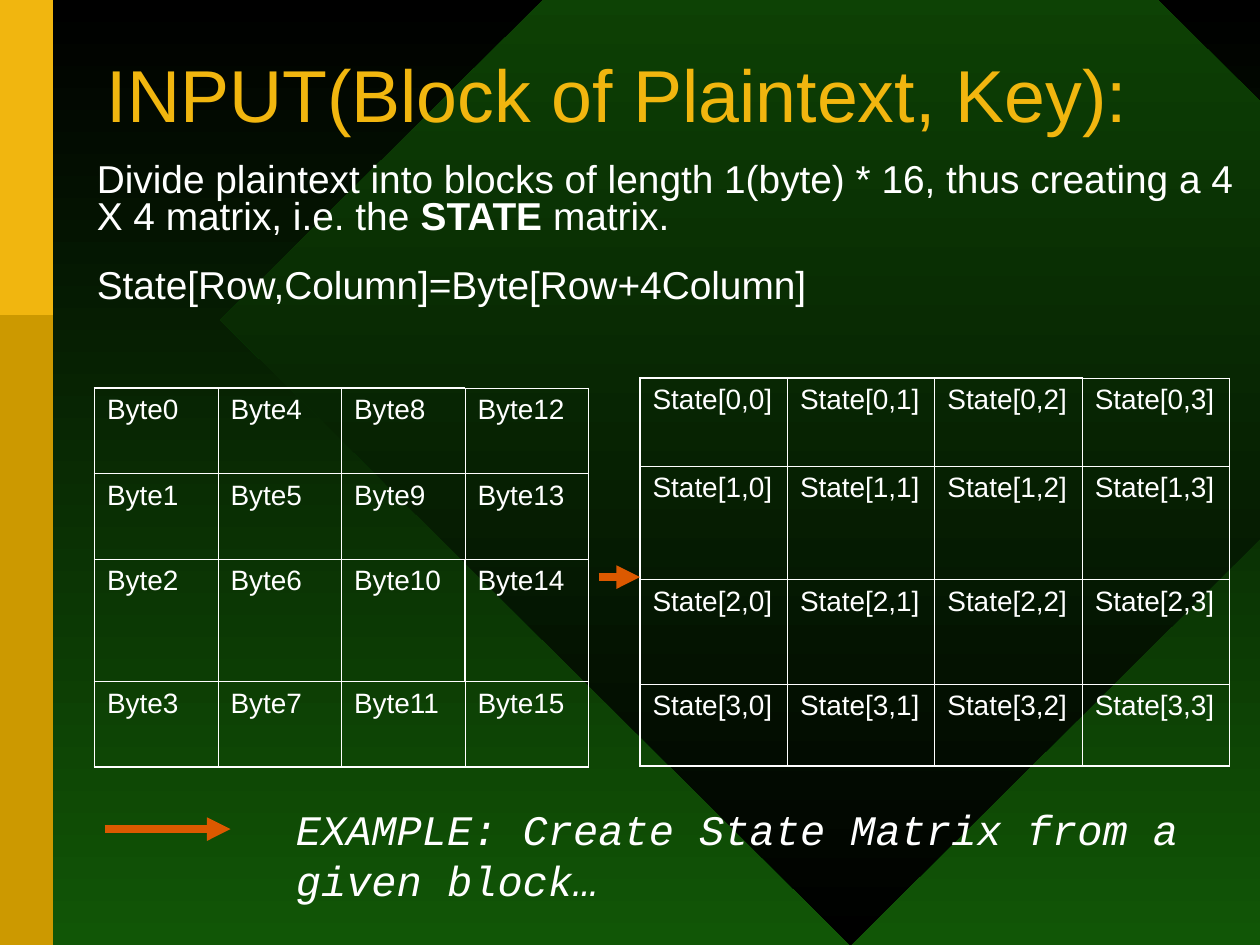
import pptx
import pptx.util
import pptx.dml.color
import pptx.enum.shapes
import pptx.enum.text
import pptx.oxml
import lxml.etree

Inches = pptx.util.Inches
Pt = pptx.util.Pt
RGB = pptx.dml.color.RGBColor.from_string
SHAPES = pptx.enum.shapes.MSO_SHAPE
COLORS = {"black": "000000", "green": "115606", "gold": "F1B60F",
          "dark_gold": "CC9900", "white": "FFFFFF", "orange": "DC5900"}
DRAWING = "http://schemas.openxmlformats.org/drawingml/2006/main"

deck = pptx.Presentation()
deck.slide_width, deck.slide_height = Inches(10), Inches(7.5)
page = deck.slides.add_slide(deck.slide_layouts[6])


def set_gradient(fill, top, bottom):
    """Fill from top to bottom with two colours."""
    fill.gradient()
    fill.gradient_angle = 270
    for stop, position, name in zip(fill.gradient_stops, (0, 1), (top, bottom)):
        stop.position = position
        stop.color.rgb = RGB(COLORS[name])


def add_text(place, paragraphs, font, size, color="white", italic=False,
             line_spacing=1.0, space_before=0, anchor="TOP"):
    """Add a text box; each paragraph is a list of (text, bold) spans."""
    box = page.shapes.add_textbox(*map(Inches, place))
    frame = box.text_frame
    frame.word_wrap = True
    frame.vertical_anchor = getattr(pptx.enum.text.MSO_ANCHOR, anchor)
    for index, spans in enumerate(paragraphs):
        paragraph = frame.add_paragraph() if index else frame.paragraphs[0]
        paragraph.line_spacing = line_spacing
        if index:
            paragraph.space_before = Pt(space_before)
        paragraph.font.name, paragraph.font.size = font, Pt(size)
        paragraph.font.italic = italic
        paragraph.font.color.rgb = RGB(COLORS[color])
        for text, bold in spans:
            span = paragraph.add_run()
            span.text = text
            if bold:
                span.font.bold = True


# Background with the large diamond and the gold side bar
set_gradient(page.background.fill, "black", "green")
for kind, place, color in [
        (SHAPES.DIAMOND, (1.75, -2.42, 10, 9.92), None),
        (SHAPES.RECTANGLE, (0, 0, 0.42, 7.5), "dark_gold"),
        (SHAPES.RECTANGLE, (0, 0, 0.42, 2.5), "gold")]:
    shape = page.shapes.add_shape(kind, *map(Inches, place))
    shape.shadow.inherit = False
    shape.line.fill.background()
    if color:
        shape.fill.solid()
        shape.fill.fore_color.rgb = RGB(COLORS[color])
    else:
        set_gradient(shape.fill, "green", "black")

# Title and explanation
add_text((0.75, 0.25, 8.75, 1.08), [[("INPUT(Block of Plaintext, Key):", False)]],
         "Arial", 42, color="gold", line_spacing=0.85, anchor="MIDDLE")
add_text((0.67, 1.25, 9.33, 1.67),
         [[("Divide plaintext into blocks of length 1(byte) * 16, "
            "thus creating a 4 X 4 matrix, i.e. the ", False),
           ("STATE", True), (" matrix.", False)],
          [("State[Row,Column]=Byte[Row+4Column]", False)]],
         "Arial", 22.2, line_spacing=0.8, space_before=18)

# Byte matrix and state matrix: thick outer edges, thin inner ones
byte_names = [[f"Byte{row + 4 * column}" for column in range(4)] for row in range(4)]
state_names = [[f"State[{row},{column}]" for column in range(4)] for row in range(4)]
byte_extra = {(1, 3, "B"), (2, 2, "R"), (2, 3, "L"), (2, 3, "T"),
              (2, 3, "B"), (3, 3, "T")}
for names, left, top, column_width, row_heights, extra in [
        (byte_names, 0.75, 3.08, 0.98, (0.68, 0.68, 0.97, 0.68), byte_extra),
        (state_names, 5.08, 3, 1.17, (0.7, 0.9, 0.83, 0.65), set())]:
    table = page.shapes.add_table(
        4, 4, Inches(left), Inches(top),
        Inches(4 * column_width), Inches(sum(row_heights))).table
    table.first_row = table.horz_banding = False
    for column in table.columns:
        column.width = Inches(column_width)
    for row, height in enumerate(row_heights):
        table.rows[row].height = Inches(height)
        for column in range(4):
            cell = table.cell(row, column)
            cell.text = names[row][column]
            font = cell.text_frame.paragraphs[0].font
            font.name, font.size = "Arial", Pt(16)
            font.color.rgb = RGB(COLORS["white"])
            outer = {"L": column == 0, "R": column == 3,
                     "T": row == 0 and column < 3, "B": row == 3}
            properties = cell._tc.get_or_add_tcPr()
            for side, thick in outer.items():
                width = Pt(1.08 if thick or (row, column, side) in extra else 0.45)
                properties.append(pptx.oxml.parse_xml(
                    f'<a:ln{side} xmlns:a="{DRAWING}" w="{width}"><a:solidFill>'
                    f'<a:srgbClr val="{COLORS["white"]}"/></a:solidFill></a:ln{side}>'))
            cell.fill.background()

# Example caption
add_text((2.25, 6.33, 7.33, 0.9),
         [[("EXAMPLE: Create State Matrix from a given block…", False)]],
         "Courier New", 24, italic=True)

# Arrows between the matrices and before the example
for start, end, height in [(4.75, 5.08, 4.58), (0.83, 1.83, 6.58)]:
    arrow = page.shapes.add_connector(
        pptx.enum.shapes.MSO_CONNECTOR.STRAIGHT,
        Inches(start), Inches(height), Inches(end), Inches(height))
    arrow.line.color.rgb = RGB(COLORS["orange"])
    arrow.line.width = Pt(4.5)
    lxml.etree.SubElement(arrow.line._get_or_add_ln(),
                          f"{{{DRAWING}}}tailEnd", type="triangle")
    lxml.etree.SubElement(arrow._element.spPr, f"{{{DRAWING}}}effectLst")

deck.save("out.pptx")
